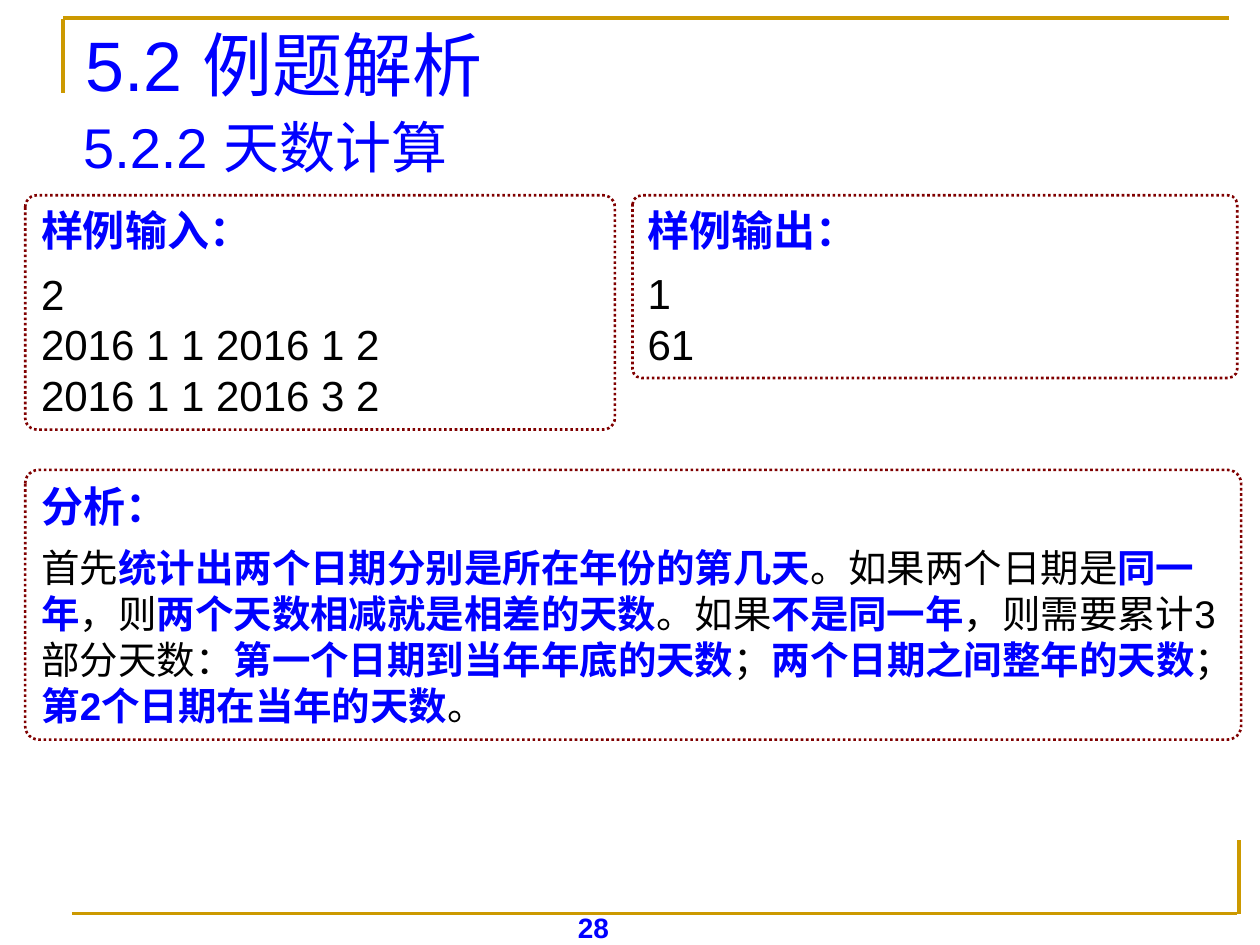
import pptx
import pptx.util
import pptx.dml.color
import pptx.enum.dml
import pptx.enum.shapes
import pptx.enum.text
import pptx.oxml.ns
from lxml import etree

Inches = pptx.util.Inches
Pt = pptx.util.Pt
COLORS = {"blue": "0000FF", "black": "000000", "gold": "CC9900",
          "maroon": "800000", "white": "FFFFFF"}
LEFT = pptx.enum.text.PP_ALIGN.LEFT
CENTER = pptx.enum.text.PP_ALIGN.CENTER

FRAME_FORMAT = {
    "word_wrap": True,
    "auto_size": pptx.enum.text.MSO_AUTO_SIZE.NONE,
    "vertical_anchor": pptx.enum.text.MSO_ANCHOR.TOP,
    "margin_left": Inches(0.1), "margin_right": Inches(0.1),
    "margin_top": Inches(0.05), "margin_bottom": Inches(0.05),
}


def rgb(color):
    return pptx.dml.color.RGBColor.from_string(COLORS[color])


def apply_format(target, values):
    for name, value in values.items():
        setattr(target, name, value)


def add_run(paragraph, text, size, color, bold=False):
    run = paragraph.add_run()
    run.text = text
    apply_format(run.font, {"name": "Arial", "size": Pt(size), "bold": bold})
    run.font.color.rgb = rgb(color)


def format_paragraph(paragraph, after=0, alignment=LEFT):
    apply_format(paragraph, {"alignment": alignment, "space_before": Pt(0),
                             "space_after": Pt(after)})


def fill_placeholder(holder, box, text, size, anchor):
    places = dict(zip(("left", "top", "width", "height"), map(Inches, box)))
    apply_format(holder, places)
    apply_format(holder.text_frame, {**FRAME_FORMAT, "vertical_anchor": anchor})
    paragraph = holder.text_frame.paragraphs[0]
    properties = paragraph._p.get_or_add_pPr()
    properties.set("marL", "0")
    properties.set("indent", "0")
    etree.SubElement(properties, pptx.oxml.ns.qn("a:buNone"))
    format_paragraph(paragraph)
    add_run(paragraph, text, size, "blue")


def add_rule(slide, start, end):
    rule = slide.shapes.add_connector(
        pptx.enum.shapes.MSO_CONNECTOR.STRAIGHT,
        *map(Inches, start + end))
    rule.line.color.rgb = rgb("gold")
    rule.line.width = Pt(2.25)
    etree.SubElement(rule._element.spPr, pptx.oxml.ns.qn("a:effectLst"))


def add_panel(slide, box, heading, lines, size=24, after=0):
    """Each line is a list of texts, plain and emphasised in turn."""
    panel = slide.shapes.add_shape(
        pptx.enum.shapes.MSO_SHAPE.ROUNDED_RECTANGLE, *map(Inches, box))
    panel.adjustments[0] = 0.05
    panel.shadow.inherit = False
    panel.fill.solid()
    panel.fill.fore_color.rgb = rgb("white")
    panel.line.color.rgb = rgb("maroon")
    apply_format(panel.line, {
        "width": Pt(1.5),
        "dash_style": pptx.enum.dml.MSO_LINE.ROUND_DOT})
    frame = panel.text_frame
    apply_format(frame, FRAME_FORMAT)
    format_paragraph(frame.paragraphs[0], after=7.5)
    add_run(frame.paragraphs[0], heading, 24, "blue", True)
    for line in lines:
        paragraph = frame.add_paragraph()
        format_paragraph(paragraph, after)
        for index, text in enumerate(line):
            strong = index % 2 == 1
            add_run(paragraph, text, size, "blue" if strong else "black", strong)


def add_page_number(slide, box, number):
    frame = slide.shapes.add_textbox(*map(Inches, box)).text_frame
    apply_format(frame, FRAME_FORMAT)
    format_paragraph(frame.paragraphs[0], alignment=CENTER)
    add_run(frame.paragraphs[0], number, 16, "blue", True)


def main():
    deck = pptx.Presentation()
    apply_format(deck, {"slide_width": Inches(10), "slide_height": Inches(7.5)})
    slide = deck.slides.add_slide(deck.slide_layouts[1])

    # Title and section heading
    fill_placeholder(slide.shapes.title, (0.58, 0.17, 9.08, 0.67),
                     "5.2 例题解析", 40, pptx.enum.text.MSO_ANCHOR.MIDDLE)
    fill_placeholder(slide.placeholders[1], (0.56, 0.84, 9.11, 6.46),
                     "5.2.2 天数计算", 32, pptx.enum.text.MSO_ANCHOR.TOP)

    # Corner rules and page number
    for start, end in [((0.5, 0.15), (0.5, 0.74)), ((0.5, 0.14), (9.75, 0.14)),
                       ((9.83, 6.67), (9.83, 7.25)), ((0.57, 7.25), (9.82, 7.25))]:
        add_rule(slide, start, end)
    add_page_number(slide, (3.67, 7.18, 2.08, 0.25), "28")

    # Sample output, sample input and analysis
    add_panel(slide, (5.02, 1.55, 4.8, 1.45), "样例输出：", [["1"], ["61"]])
    add_panel(slide, (0.2, 1.55, 4.68, 1.86), "样例输入：",
              [["2"], ["2016 1 1 2016 1 2"], ["2016 1 1 2016 3 2"]])
    analysis = [
        "首先", "统计出两个日期分别是所在年份的第几天",
        "。如果两个日期是", "同一年",
        "，则", "两个天数相减就是相差的天数",
        "。如果", "不是同一年",
        "，则需要累计3部分天数：", "第一个日期到当年年底的天数",
        "；", "两个日期之间整年的天数",
        "；", "第2个日期在当年的天数", "。",
    ]
    add_panel(slide, (0.2, 3.73, 9.65, 2.14), "分析：", [analysis],
              size=22, after=6.9)

    deck.save("out.pptx")


if __name__ == "__main__":
    main()
